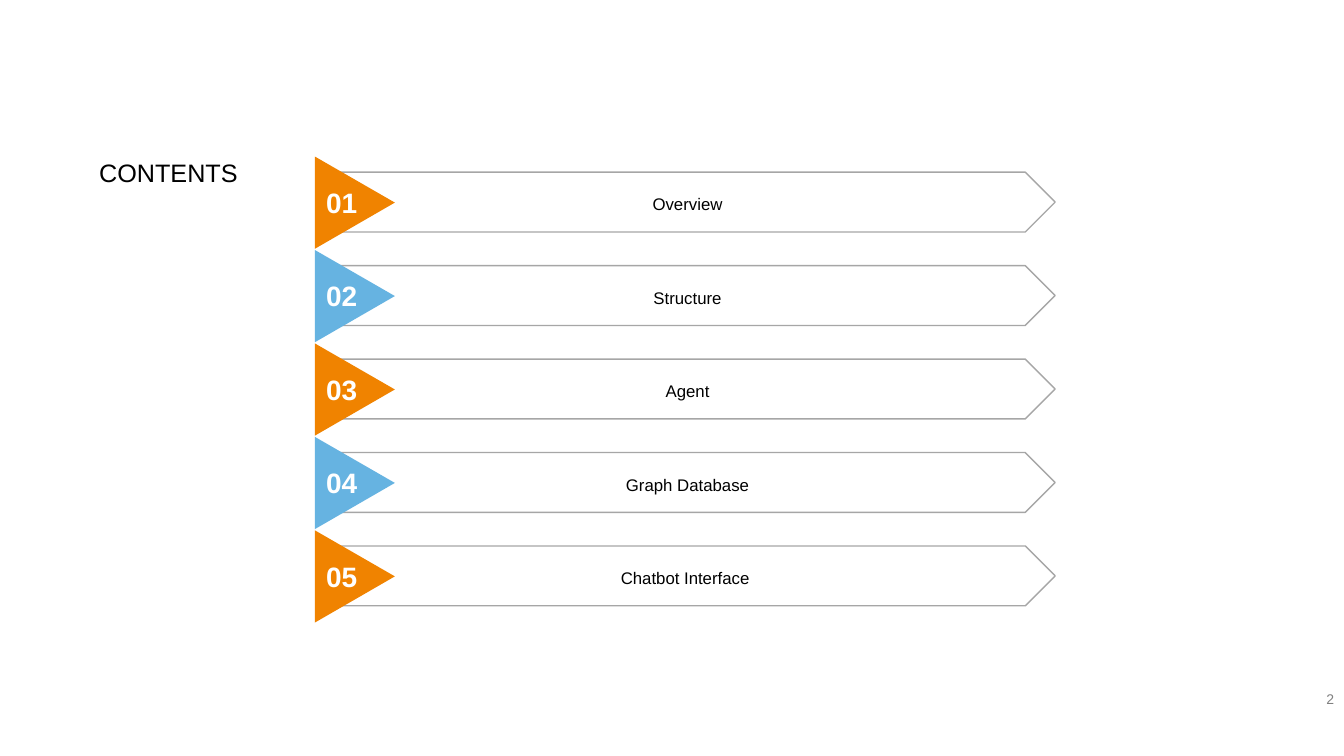
from dataclasses import dataclass

from pptx import Presentation
from pptx.dml.color import RGBColor
from pptx.enum.shapes import MSO_SHAPE
from pptx.enum.text import MSO_ANCHOR, PP_ALIGN
from pptx.util import Pt

PENTAGON = MSO_SHAPE.PENTAGON
TRIANGLE = MSO_SHAPE.ISOSCELES_TRIANGLE
LEFT, CENTER, RIGHT = PP_ALIGN.LEFT, PP_ALIGN.CENTER, PP_ALIGN.RIGHT
TOP, MIDDLE = MSO_ANCHOR.TOP, MSO_ANCHOR.MIDDLE

PX = 9525  # EMU per px, 96 px to the inch
WIDTH, HEIGHT = 1280, 720
ROW_TOP, ROW_PITCH = 144, 89
TOPICS = ["Overview", "Structure", "Agent", "Graph Database", "Chatbot Interface "]


@dataclass(frozen=True)
class Theme:
    font: str = "Arial"
    black: str = "000000"
    white: str = "FFFFFF"
    gray: str = "808080"
    outline: str = "A6A6A6"
    accents: tuple = ("F08300", "66B3E1")
    title: int = 18
    number: int = 20
    topic: int = 12
    page: int = 10


def px(*lengths):
    return [n * PX for n in lengths]


class ContentsSlide:
    def __init__(self, prs, theme):
        self.theme = theme
        self.slide = prs.slides.add_slide(prs.slide_layouts[6])

    def label(self, sp, text, size, color, align=LEFT, anchor=MIDDLE,
              bold=False, wrap=True, spacing=1.0):
        """Put one formatted paragraph into a shape or text box."""
        tf = sp.text_frame
        tf.word_wrap, tf.vertical_anchor = wrap, anchor
        p = tf.paragraphs[0]
        p.alignment, p.line_spacing = align, spacing
        r = p.add_run()
        r.text = text
        for name, value in {"name": self.theme.font, "size": Pt(size), "bold": bold}.items():
            setattr(r.font, name, value)
        r.font.color.rgb = RGBColor.from_string(color)

    def text(self, box, text, size, color, **style):
        self.label(self.slide.shapes.add_textbox(*px(*box)), text, size, color, **style)

    def shape(self, kind, box, fill=None, line=None, rotation=0):
        sp = self.slide.shapes.add_shape(kind, *px(*box))
        sp.shadow.inherit = False
        sp.rotation = rotation
        for part, color in ((sp.fill, fill), (sp.line.fill, line)):
            if color:
                part.solid()
                part.fore_color.rgb = RGBColor.from_string(color)
            else:
                part.background()
        if line:
            sp.line.width = Pt(1)
        return sp

    def topic_row(self, index, topic):
        """Draw an outlined arrow bar with its numbered triangle."""
        t = self.theme
        y = ROW_TOP + index * ROW_PITCH
        bar = self.shape(PENTAGON, (319, y + 20, 686, 57), line=t.outline)
        self.label(bar, topic, t.topic, t.black, align=CENTER, spacing=1.2)
        self.shape(TRIANGLE, (275, y, 88, 76), rotation=330,
                   fill=t.accents[index % len(t.accents)])
        self.text((301, y + 26, 49, 45), f"{index + 1:02d}", t.number, t.white,
                  align=CENTER, bold=True, wrap=False)


def main():
    prs = Presentation()
    prs.slide_width, prs.slide_height = px(WIDTH, HEIGHT)
    theme = Theme()
    s = ContentsSlide(prs, theme)
    s.text((974, 655, 306, 22), "2", theme.page, theme.gray, align=RIGHT)
    for index, topic in enumerate(TOPICS):
        s.topic_row(index, topic)
    s.text((85, 145, 215, 38), "CONTENTS", theme.title, theme.black, anchor=TOP)
    prs.save("out.pptx")


if __name__ == "__main__":
    main()
